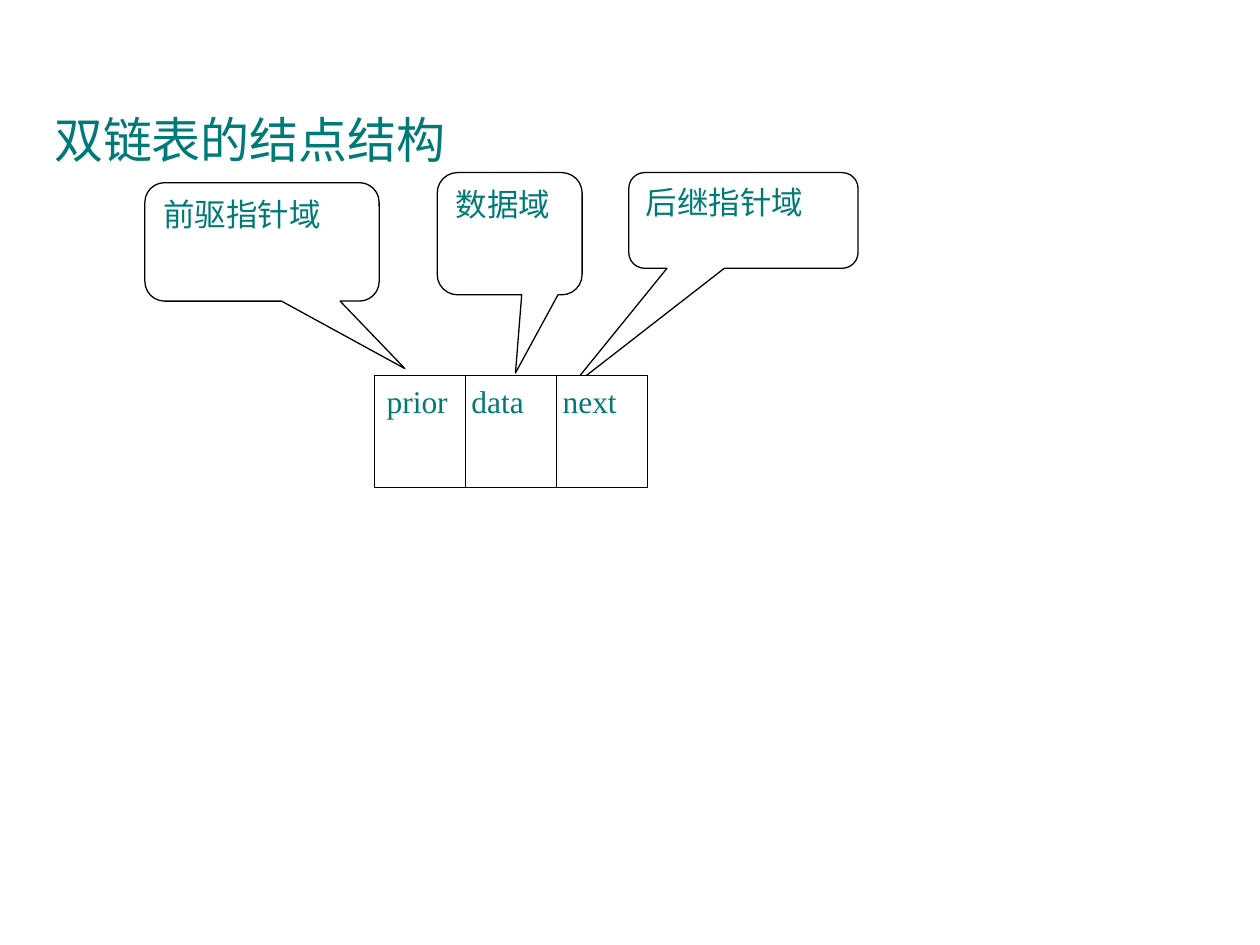
from typing import NamedTuple

from lxml import etree
from pptx import Presentation
from pptx.dml.color import RGBColor
from pptx.enum import shapes, text
from pptx.oxml import ns
from pptx.util import Inches, Pt

TEAL, WHITE, BLACK = "007A77", "FFFFFF", "000000"
LATIN, CJK = "Times New Roman", "Noto Sans CJK SC"
FIELDS = ("prior", "data", "next")
NODE_LEFT, NODE_TOP, NODE_WIDTH, NODE_HEIGHT = 2.97, 2.98, 2.17, 0.89
FIELD_WIDTH = NODE_WIDTH / len(FIELDS)


class Callout(NamedTuple):
    label: str
    left: float
    top: float
    width: float
    height: float
    tip_x: float  # offset from the centre, as a share of the width
    tip_y: float  # offset from the centre, as a share of the height


NEXT_CALLOUT = Callout("后继指针域", 4.99, 1.37, 1.82, 0.76, -0.76, 1.76)
PRIOR_CALLOUT = Callout("前驱指针域", 1.15, 1.45, 1.86, 0.94, 0.61, 1.07)
DATA_CALLOUT = Callout("数据域", 3.47, 1.37, 1.15, 0.97, 0.04, 1.14)


def rgb(value: str) -> RGBColor:
    return RGBColor.from_string(value)


def add_tabs(paragraph, stops: list[float]) -> None:
    tabs = etree.SubElement(paragraph._p.get_or_add_pPr(), ns.qn("a:tabLst"))
    for stop in stops:
        etree.SubElement(tabs, ns.qn("a:tab"), pos=str(Inches(stop)), algn="l")


def write(shape, words: str, size: int, latin: str = LATIN,
          tab_stops: list[float] | None = None) -> None:
    """Fill a shape with one teal paragraph, set from the top left."""
    frame = shape.text_frame
    frame.word_wrap = True
    frame.auto_size = text.MSO_AUTO_SIZE.NONE
    frame.vertical_anchor = text.MSO_ANCHOR.TOP
    frame.text = words
    paragraph = frame.paragraphs[0]
    paragraph.alignment = text.PP_ALIGN.JUSTIFY
    if tab_stops:
        add_tabs(paragraph, tab_stops)
    font = paragraph.font
    font.size, font.name = Pt(size), latin
    font.color.rgb = rgb(TEAL)
    properties = paragraph._p.pPr.find(ns.qn("a:defRPr"))
    etree.SubElement(properties, ns.qn("a:ea"), typeface=CJK)


def add_box(slide, kind, left: float, top: float, width: float, height: float):
    box = slide.shapes.add_shape(
        kind, Inches(left), Inches(top), Inches(width), Inches(height))
    box.shadow.inherit = False
    box.fill.solid()
    box.fill.fore_color.rgb = rgb(WHITE)
    box.line.color.rgb = rgb(BLACK)
    box.line.width = Pt(0.75)
    return box


def add_callout(slide, callout: Callout) -> None:
    bubble = add_box(slide, shapes.MSO_SHAPE.ROUNDED_RECTANGULAR_CALLOUT,
                     *callout[1:5])
    bubble.adjustments[0] = callout.tip_x
    bubble.adjustments[1] = callout.tip_y
    write(bubble, callout.label, 18)


def add_divider(slide, x: float) -> None:
    divider = slide.shapes.add_connector(
        shapes.MSO_CONNECTOR.STRAIGHT, Inches(x), Inches(NODE_TOP),
        Inches(x), Inches(NODE_TOP + NODE_HEIGHT))
    divider.line.color.rgb = rgb(BLACK)
    divider.line.width = Pt(0.75)
    etree.SubElement(divider._element.spPr, ns.qn("a:effectLst"))


def add_node(slide) -> None:
    node = add_box(slide, shapes.MSO_SHAPE.RECTANGLE,
                   NODE_LEFT, NODE_TOP, NODE_WIDTH, NODE_HEIGHT)
    inner_edges = [FIELD_WIDTH * i for i in range(1, len(FIELDS))]
    # Each later field name starts 0.05 in after its divider, less the 0.1 in inset.
    write(node, "\t".join(FIELDS), 18,
          tab_stops=[edge - 0.05 for edge in inner_edges])
    for edge in inner_edges:
        add_divider(slide, NODE_LEFT + edge)


def main() -> None:
    deck = Presentation()
    deck.slide_width, deck.slide_height = Inches(10), Inches(7.5)
    slide = deck.slides.add_slide(deck.slide_layouts.get_by_name("Title Only"))

    title = slide.shapes.title
    title.left, title.top = Inches(0.33), Inches(0.82)
    title.width, title.height = Inches(9.34), Inches(5.85)
    write(title, "双链表的结点结构", 28, latin=CJK)

    add_callout(slide, NEXT_CALLOUT)  # its tip goes behind the node
    add_node(slide)
    add_callout(slide, PRIOR_CALLOUT)
    add_callout(slide, DATA_CALLOUT)
    deck.save("out.pptx")


if __name__ == "__main__":
    main()
